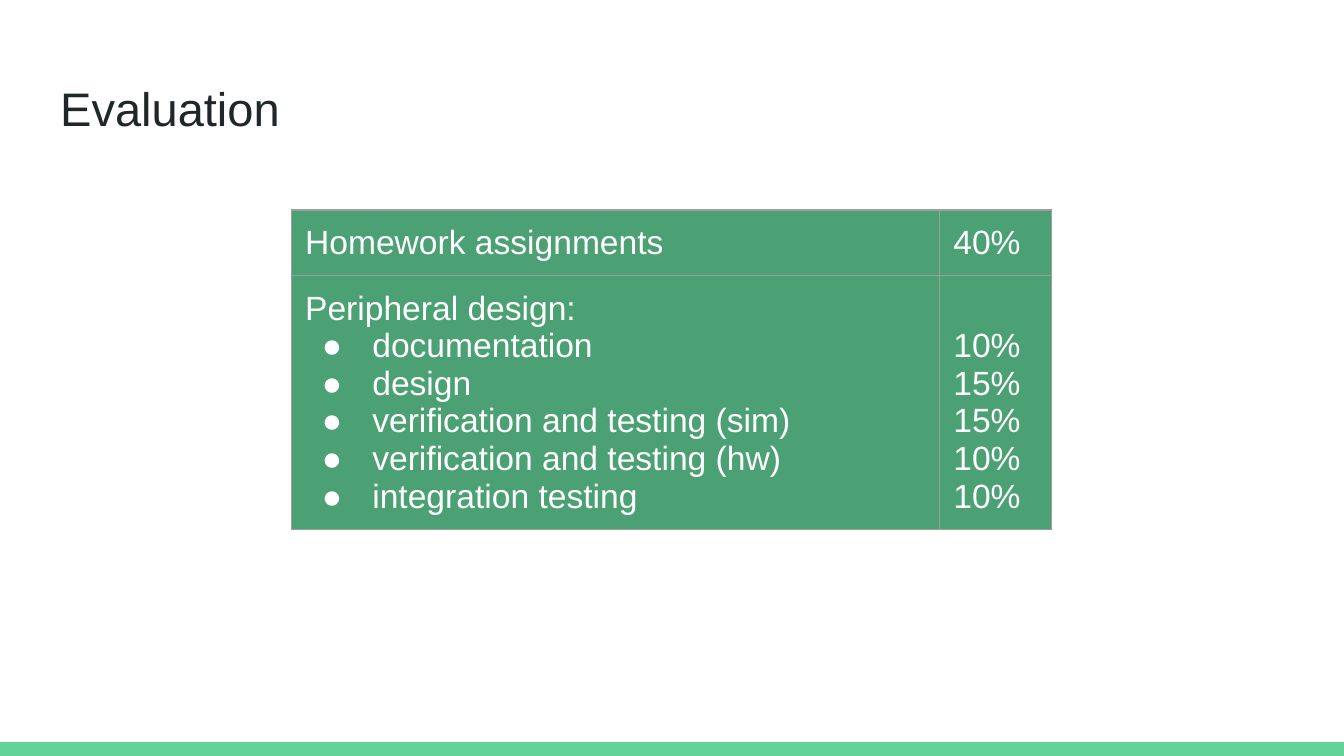
from typing import NamedTuple

from lxml.etree import SubElement
from pptx import Presentation
from pptx.dml.color import RGBColor
from pptx.enum.shapes import MSO_SHAPE
from pptx.enum.text import MSO_ANCHOR as Anchor
from pptx.enum.text import MSO_AUTO_SIZE as AutoSize
from pptx.enum.text import PP_ALIGN as Align
from pptx.oxml.ns import qn
from pptx.util import Emu, Pt

EMU_PER_PX = 9525
INSET = 10
FONT = "Arial"
COLORS = {
    "background": "FFFFFF",
    "title": "202729",
    "bar": "63D297",
    "cell": "4BA173",
    "cell_text": "FFFFFF",
    "border": "9E9E9E",
}


class Box(NamedTuple):
    left: int
    top: int
    width: int
    height: int


class GradeRow(NamedTuple):
    height: int
    heading: str
    items: list[str]
    weights: list[str]


PAGE = Box(0, 0, 960, 540)
BAR = Box(0, 530, 960, 10)
TITLE = Box(33, 47, 895, 60)
TABLE_LEFT, TABLE_TOP = 208, 150
COLUMN_WIDTHS = [463, 80]
ROWS = [
    GradeRow(46, "Homework assignments", [], ["40%"]),
    GradeRow(
        181,
        "Peripheral design:",
        [
            "documentation",
            "design",
            "verification and testing (sim)",
            "verification and testing (hw)",
            "integration testing",
        ],
        ["10%", "15%", "15%", "10%", "10%"],
    ),
]


def px(length: int) -> Emu:
    return Emu(length * EMU_PER_PX)


def color(name: str) -> RGBColor:
    return RGBColor.from_string(COLORS[name])


def set_margins(target) -> None:
    """Give a text frame or a table cell the same inset on all sides."""
    target.margin_left = target.margin_right = px(INSET)
    target.margin_top = target.margin_bottom = px(INSET)


def format_text(frame, size: float, color_name: str) -> None:
    for para in frame.paragraphs:
        para.alignment = Align.LEFT
        para.line_spacing = 1.0
        para.space_before = para.space_after = Pt(0)
        for span in para.runs:
            span.font.name = FONT
            span.font.size = Pt(size)
            span.font.color.rgb = color(color_name)


def add_bullet(para) -> None:
    properties = para._p.get_or_add_pPr()
    properties.set("marL", str(px(48)))
    properties.set("indent", str(px(-36)))
    bullet_color = SubElement(properties, qn("a:buClr"))
    SubElement(bullet_color, qn("a:srgbClr"), val=COLORS["cell_text"])
    SubElement(properties, qn("a:buFont"), typeface=FONT)
    SubElement(properties, qn("a:buChar"), char="●")


def add_borders(cell) -> None:
    properties = cell._tc.get_or_add_tcPr()
    for side in ("lnL", "lnR", "lnT", "lnB"):
        line = SubElement(properties, qn(f"a:{side}"), w=str(Pt(0.75)))
        fill = SubElement(line, qn("a:solidFill"))
        SubElement(fill, qn("a:srgbClr"), val=COLORS["border"])


def fill_cell(cell, lines: list[str]) -> None:
    add_borders(cell)
    cell.fill.solid()
    cell.fill.fore_color.rgb = color("cell")
    set_margins(cell)
    # Bottom anchoring lines each weight up with its item.
    cell.vertical_anchor = Anchor.BOTTOM
    cell.text_frame.text = "\n".join(lines)
    format_text(cell.text_frame, 18, "cell_text")


def add_bar(page) -> None:
    bar = page.shapes.add_shape(MSO_SHAPE.RECTANGLE, *map(px, BAR))
    bar.shadow.inherit = False
    bar.fill.solid()
    bar.fill.fore_color.rgb = color("bar")
    bar.line.fill.background()


def set_title(page, text: str) -> None:
    title = page.shapes.title
    title.left, title.top, title.width, title.height = map(px, TITLE)
    frame = title.text_frame
    frame.text = text
    frame.word_wrap = True
    frame.auto_size = AutoSize.NONE
    frame.vertical_anchor = Anchor.BOTTOM
    set_margins(frame)
    format_text(frame, 25.2, "title")


def add_grade_table(page) -> None:
    area = Box(
        TABLE_LEFT, TABLE_TOP, sum(COLUMN_WIDTHS), sum(row.height for row in ROWS)
    )
    table = page.shapes.add_table(
        len(ROWS), len(COLUMN_WIDTHS), *map(px, area)
    ).table
    table.first_row = table.horz_banding = False
    for column, width in zip(table.columns, COLUMN_WIDTHS):
        column.width = px(width)
    for index, row in enumerate(ROWS):
        table.rows[index].height = px(row.height)
        topic, weight = table.cell(index, 0), table.cell(index, 1)
        fill_cell(topic, [row.heading, *row.items])
        fill_cell(weight, row.weights)
        for para in topic.text_frame.paragraphs[1:]:
            add_bullet(para)


def main() -> None:
    deck = Presentation()
    deck.slide_width, deck.slide_height = px(PAGE.width), px(PAGE.height)
    page = deck.slides.add_slide(deck.slide_layouts[5])
    page.background.fill.solid()
    page.background.fill.fore_color.rgb = color("background")
    add_bar(page)
    set_title(page, "Evaluation")
    add_grade_table(page)
    deck.save("out.pptx")


if __name__ == "__main__":
    main()
